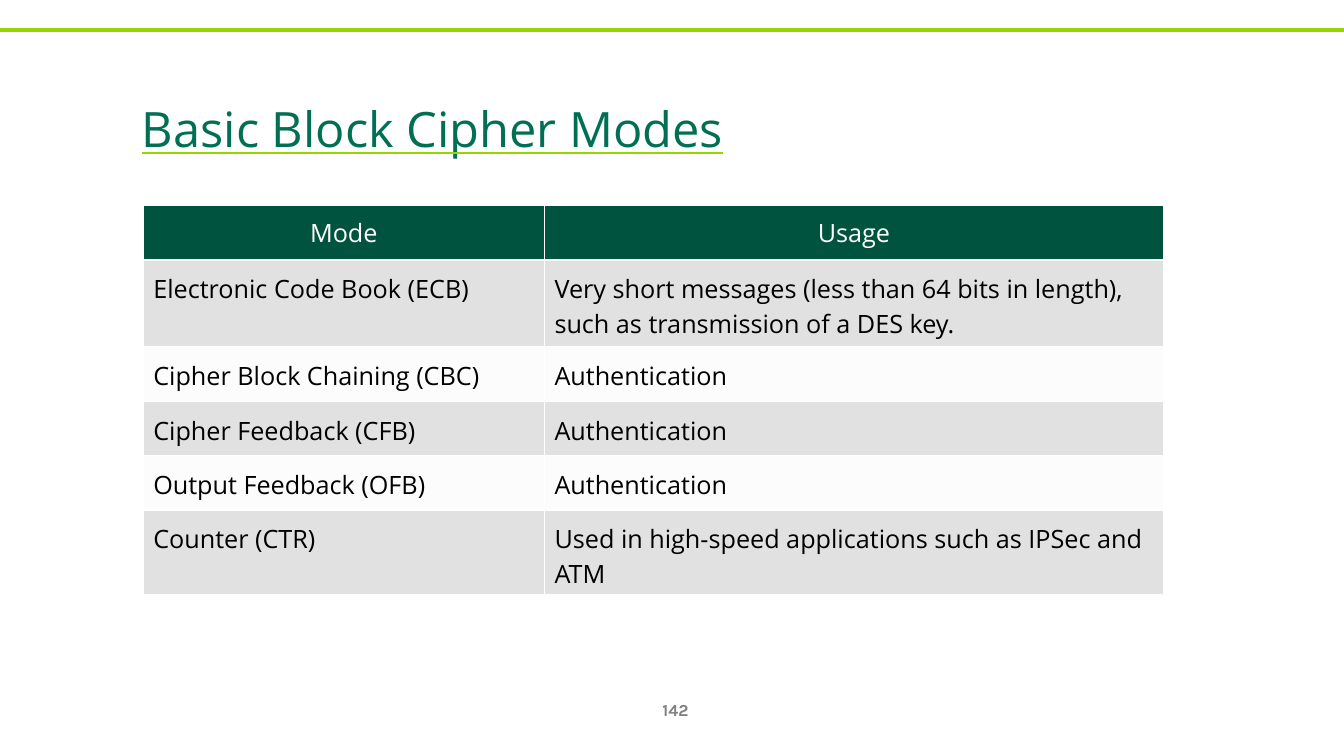
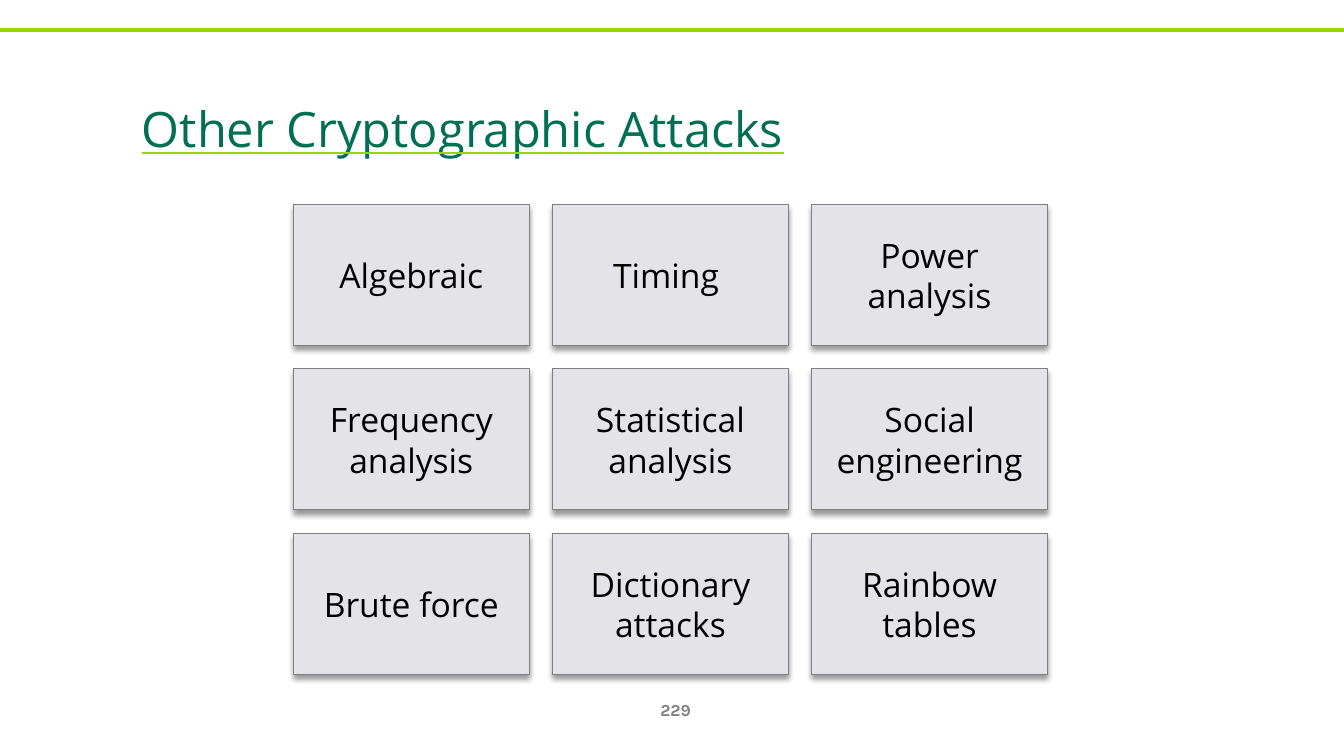
"""Build two slides on block cipher modes and cryptographic attacks."""
from pptx import Presentation
from pptx.dml.color import RGBColor
from pptx.enum.shapes import MSO_CONNECTOR, MSO_SHAPE
from pptx.enum.text import MSO_ANCHOR as ANCHOR, PP_ALIGN as ALIGN
from pptx.oxml import parse_xml
from pptx.oxml.ns import nsdecls, qn
from pptx.util import Inches, Pt

WHITE = RGBColor(0xFF, 0xFF, 0xFF)
BLACK = RGBColor(0x00, 0x00, 0x00)
LIME = RGBColor(0x95, 0xD6, 0x00)
GREEN = RGBColor(0x00, 0x6F, 0x53)
DARK_GREEN = RGBColor(0x00, 0x53, 0x3E)
GRAY = RGBColor(0x80, 0x80, 0x80)
BAND_GRAY = RGBColor(0x89, 0x89, 0x89)
PALE = RGBColor(0xE4, 0xE3, 0xE8)
OUTLINE = RGBColor(0x7F, 0x7F, 0x7F)

FONT = "Open Sans"
NUMBER_FONT = "Karla"
WIDTH, HEIGHT = 13.33, 7.5

MODES = [
    ("Mode", "Usage"),
    ("Electronic Code Book (ECB)",
     "Very short messages (less than 64 bits in length), "
     "such as transmission of a DES key."),
    ("Cipher Block Chaining (CBC)", "Authentication"),
    ("Cipher Feedback (CFB)", "Authentication"),
    ("Output Feedback (OFB)", "Authentication"),
    ("Counter (CTR)", "Used in high-speed applications such as IPSec and ATM"),
]
COL_WIDTHS = [3.98, 6.14]
ROW_HEIGHTS = [0.54, 0.86, 0.46, 0.45, 0.48, 0.79]

ATTACKS = [
    "Algebraic", "Timing ", "Power analysis",
    "Frequency analysis", "Statistical analysis", "Social engineering",
    "Brute force", "Dictionary attacks", "Rainbow tables",
]
GRID_LEFT, GRID_TOP, GRID_COLS = 2.91, 2.03, 3
BOX_W, BOX_H, GAP = 2.34, 1.4, 0.23


def write(tf, text, size=18, color=BLACK, font=FONT, bold=False,
          align=ALIGN.LEFT, after=0):
    """Put one formatted run in the first paragraph and return it."""
    p = tf.paragraphs[0]
    p.alignment = align
    p.space_after = Pt(after)
    r = p.add_run()
    r.text = text
    r.font.name = font
    r.font.size = Pt(size)
    r.font.bold = bold
    r.font.color.rgb = color
    return r


def add_text(s, left, top, width, height, text, **fmt):
    """Add a vertically centred text box and return its run."""
    tf = s.shapes.add_textbox(Inches(left), Inches(top),
                              Inches(width), Inches(height)).text_frame
    tf.word_wrap = True
    tf.vertical_anchor = ANCHOR.MIDDLE
    return write(tf, text, **fmt)


def add_title(s, text):
    """Add a raised title with a lime underline."""
    r = add_text(s, 1.31, 0.61, 11.5, 1.25, text, size=60, color=GREEN)
    r.font.underline = True
    rPr = r.font._element
    rPr.set("baseline", "12000")
    rPr.find(qn("a:latin")).addprevious(parse_xml(
        f'<a:uFill {nsdecls("a")}><a:solidFill><a:srgbClr val="{LIME}"/>'
        '</a:solidFill></a:uFill>'))


def add_rule(s):
    """Draw the lime line across the top of the slide."""
    line = s.shapes.add_connector(MSO_CONNECTOR.STRAIGHT, 0, Inches(0.3),
                                  Inches(WIDTH), Inches(0.3))
    line.line.color.rgb = LIME
    line.line.width = Pt(3)
    line._element.spPr.append(parse_xml(f'<a:effectLst {nsdecls("a")}/>'))


def add_slide(prs, title, number):
    """Add a slide with the shared rule, number and title."""
    s = prs.slides.add_slide(prs.slide_layouts[6])
    add_rule(s)
    add_text(s, 6.39, 6.84, 0.62, 0.4, str(number), size=12, color=GRAY,
             font=NUMBER_FONT, bold=True, align=ALIGN.CENTER)
    add_title(s, title)
    return s


def style_cell(cell, color, opacity, inset):
    """Give a cell white borders, a translucent fill and vertical margins."""
    tcPr = cell._tc.get_or_add_tcPr()
    for side in "LRTB":
        tcPr.append(parse_xml(
            f'<a:ln{side} {nsdecls("a")} w="{Pt(1)}"><a:solidFill>'
            f'<a:srgbClr val="{WHITE}"/></a:solidFill></a:ln{side}>'))
    cell.fill.solid()
    cell.fill.fore_color.rgb = color
    if opacity < 100:
        clr = tcPr.find(qn("a:solidFill")).find(qn("a:srgbClr"))
        clr.append(parse_xml(
            f'<a:alpha {nsdecls("a")} val="{opacity * 1000}"/>'))
    cell.margin_left = cell.margin_right = Inches(0.1)
    cell.margin_top = cell.margin_bottom = Inches(inset)


def add_table(s, rows, left, top):
    """Add a table with a dark header and alternating bands."""
    table = s.shapes.add_table(
        len(rows), len(COL_WIDTHS), Inches(left), Inches(top),
        Inches(sum(COL_WIDTHS)), Inches(sum(ROW_HEIGHTS))).table
    table.horz_banding = False
    for col, width in zip(table.columns, COL_WIDTHS):
        col.width = Inches(width)
    for i, (row, height) in enumerate(zip(table.rows, ROW_HEIGHTS)):
        row.height = Inches(height)
        for cell, text in zip(row.cells, rows[i]):
            if i == 0:
                style_cell(cell, DARK_GREEN, 100, 0.05)
                cell.vertical_anchor = ANCHOR.MIDDLE
                write(cell.text_frame, text, color=WHITE, align=ALIGN.CENTER)
            else:
                band = (BAND_GRAY, 25) if i % 2 else (PALE, 10)
                style_cell(cell, *band, 0.12)
                write(cell.text_frame, text)


def add_box(s, left, top, text):
    """Add a pale box with a soft shadow below it."""
    box = s.shapes.add_shape(MSO_SHAPE.RECTANGLE, Inches(left), Inches(top),
                             Inches(BOX_W), Inches(BOX_H))
    box.fill.solid()
    box.fill.fore_color.rgb = PALE
    box.line.color.rgb = OUTLINE
    box.line.width = Pt(0.75)
    box.shadow.inherit = False
    box._element.spPr.find(qn("a:effectLst")).append(parse_xml(
        f'<a:outerShdw {nsdecls("a")} blurRad="{Pt(4)}" dist="{Pt(3)}" '
        f'dir="5400000" rotWithShape="0"><a:srgbClr val="{BLACK}">'
        '<a:alpha val="40000"/></a:srgbClr></a:outerShdw>'))
    tf = box.text_frame
    tf.word_wrap = True
    tf.vertical_anchor = ANCHOR.MIDDLE
    tf.margin_left = tf.margin_right = Inches(0.1)
    tf.margin_top = tf.margin_bottom = Inches(0.1)
    write(tf, text, size=24, align=ALIGN.CENTER, after=6)


def add_grid(s, labels):
    """Lay out boxes row by row with equal gaps."""
    for i, label in enumerate(labels):
        row, col = divmod(i, GRID_COLS)
        add_box(s, GRID_LEFT + col * (BOX_W + GAP),
                GRID_TOP + row * (BOX_H + GAP), label)


def main():
    """Build and save the presentation."""
    prs = Presentation()
    prs.slide_width, prs.slide_height = Inches(WIDTH), Inches(HEIGHT)
    add_table(add_slide(prs, "Basic Block Cipher Modes", 142),
              MODES, 1.42, 2.04)
    add_grid(add_slide(prs, "Other Cryptographic Attacks", 229), ATTACKS)
    prs.save("out.pptx")


if __name__ == "__main__":
    main()
